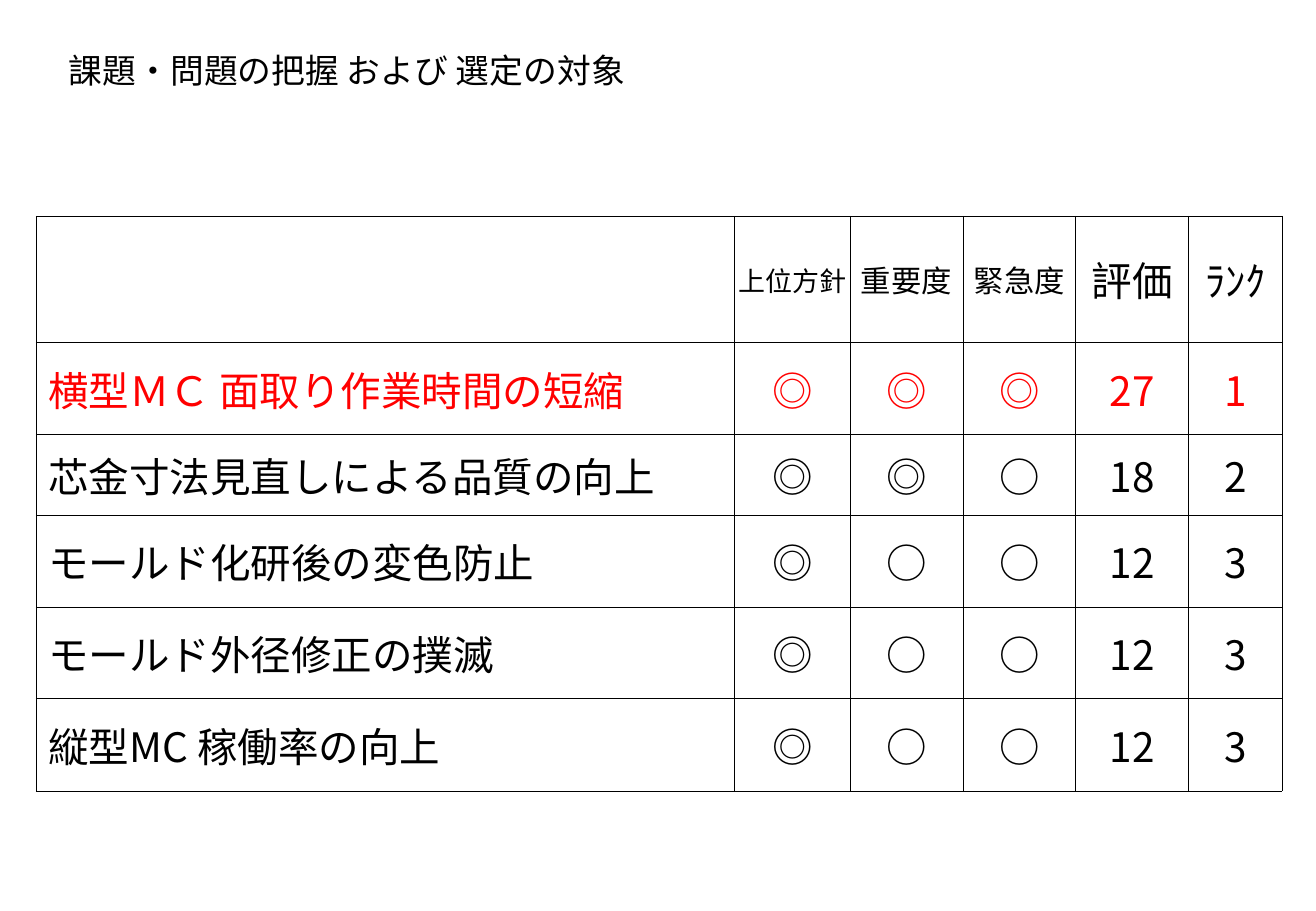
from lxml.etree import SubElement
from pptx import Presentation
from pptx.dml.color import RGBColor
from pptx.enum.text import MSO_ANCHOR, MSO_AUTO_SIZE, PP_ALIGN
from pptx.oxml.ns import qn
from pptx.util import Cm, Pt

FONT = "Noto Sans CJK JP"
BLACK, RED = "000000", "FF0000"
TITLE = "課題・問題の把握 および 選定の対象"
HEADS = ["", "上位方針", "重要度", "緊急度", "評価", "ﾗﾝｸ"]
SIZES = [24, 16, 18, 18, 24, 24]
THEMES = [
    ["横型ＭＣ 面取り作業時間の短縮", "◎", "◎", "◎", "27", "1"],
    ["芯金寸法見直しによる品質の向上", "◎", "◎", "○", "18", "2"],
    ["モールド化研後の変色防止", "◎", "○", "○", "12", "3"],
    ["モールド外径修正の撲滅", "◎", "○", "○", "12", "3"],
    ["縦型MC 稼働率の向上", "◎", "○", "○", "12", "3"],
]
WIDTHS = [14.6, 2.41, 2.36, 2.36, 2.36, 1.95]
HEIGHTS = [2.64, 1.93, 1.68, 1.93, 1.91, 1.93]


def color(code):
    return RGBColor.from_string(code)


def assign(item, values):
    for name, value in values.items():
        setattr(item, name, value)


def write(frame, text, size, code=BLACK, align=PP_ALIGN.LEFT):
    """Fill the first paragraph with one run in the slide's font."""
    para = frame.paragraphs[0]
    para.alignment = align
    run = para.add_run()
    run.text = text
    assign(run.font, {"name": FONT, "size": Pt(size), "bold": False})
    run.font.color.rgb = color(code)
    SubElement(run.font._element, qn("a:ea"), typeface=FONT)


def border(cell, code=BLACK, width=0.5):
    props = cell._tc.get_or_add_tcPr()
    for side in ("lnL", "lnR", "lnT", "lnB"):
        line = SubElement(props, qn(f"a:{side}"), w=str(Pt(width)))
        fill = SubElement(line, qn("a:solidFill"))
        SubElement(fill, qn("a:srgbClr"), val=code)


def add_title(slide, left, top, width, height):
    box = slide.shapes.add_textbox(Cm(left), Cm(top), Cm(width), Cm(height))
    frame = box.text_frame
    assign(frame, {
        "word_wrap": False,
        "auto_size": MSO_AUTO_SIZE.SHAPE_TO_FIT_TEXT,
        "margin_left": Cm(0.27), "margin_right": Cm(0.27),
        "margin_top": Cm(0.13), "margin_bottom": Cm(0.13),
    })
    write(frame, TITLE, 20)


def add_ranking(slide, left, top):
    rows = [HEADS] + THEMES
    table = slide.shapes.add_table(
        len(rows), len(HEADS), Cm(left), Cm(top),
        Cm(sum(WIDTHS)), Cm(sum(HEIGHTS))).table
    assign(table, {"first_row": False, "horz_banding": False})
    for col, width in zip(table.columns, WIDTHS):
        col.width = Cm(width)
    for row, height in zip(table.rows, HEIGHTS):
        row.height = Cm(height)
    for r, texts in enumerate(rows):
        for c, text in enumerate(texts):
            cell = table.cell(r, c)
            side = Cm(0 if c else 0.25)
            assign(cell, {
                "vertical_anchor": MSO_ANCHOR.MIDDLE,
                "margin_left": side, "margin_right": side,
                "margin_top": 0, "margin_bottom": 0,
            })
            border(cell)
            cell.fill.background()
            if text:
                write(cell.text_frame, text, 24 if r else SIZES[c],
                      RED if r == 1 else BLACK,
                      PP_ALIGN.CENTER if c else PP_ALIGN.LEFT)


def main():
    deck = Presentation()
    assign(deck, {"slide_width": Cm(27.51), "slide_height": Cm(19.05)})
    slide = deck.slides.add_slide(deck.slide_layouts[6])
    add_title(slide, 1.17, 0.91, 12.42, 1.12)
    add_ranking(slide, 0.76, 4.52)
    deck.save("out.pptx")


if __name__ == "__main__":
    main()
